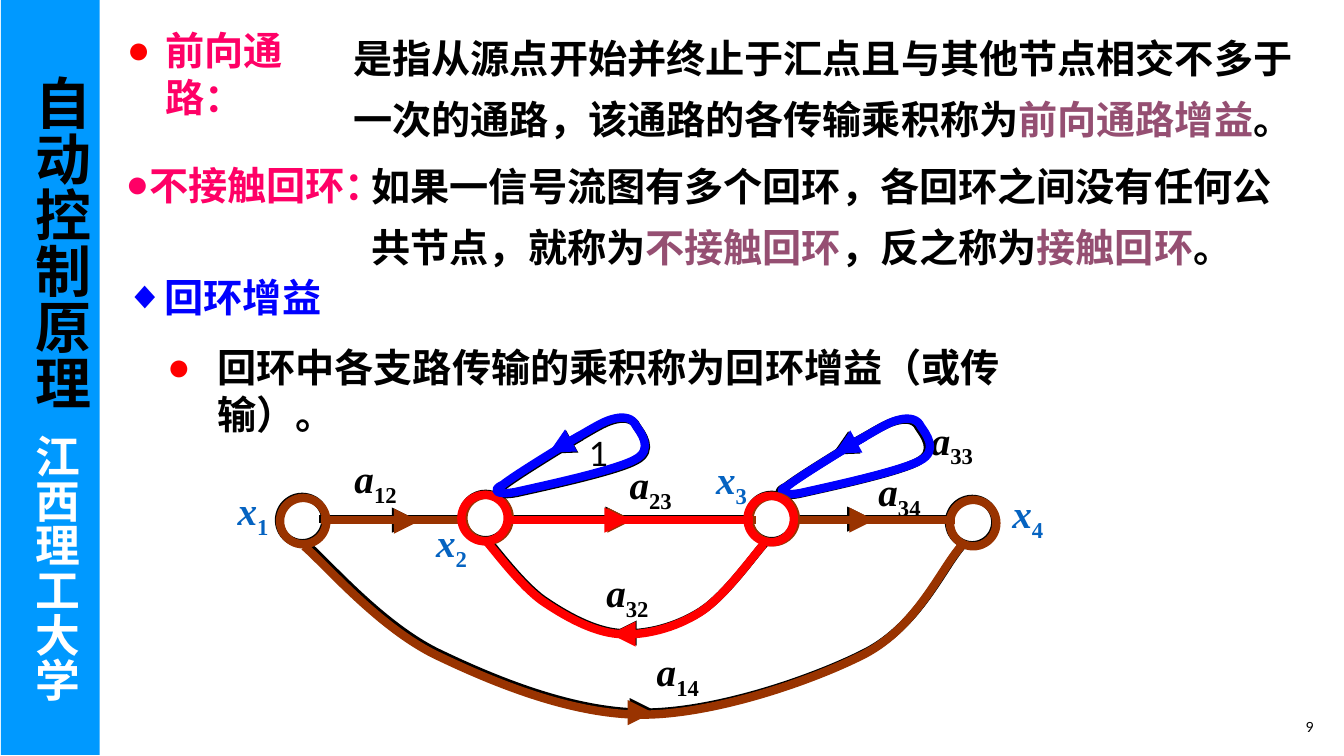
from dataclasses import dataclass

from lxml import etree
from pptx import Presentation
from pptx.dml.color import RGBColor
from pptx.enum.shapes import MSO_CONNECTOR, MSO_SHAPE
from pptx.enum.text import MSO_ANCHOR, PP_ALIGN
from pptx.oxml.ns import qn
from pptx.util import Inches, Pt

STRAIGHT = MSO_CONNECTOR.STRAIGHT
RECT, OVAL = MSO_SHAPE.RECTANGLE, MSO_SHAPE.OVAL
TOP, MIDDLE = MSO_ANCHOR.TOP, MSO_ANCHOR.MIDDLE
LEFT, RIGHT = PP_ALIGN.LEFT, PP_ALIGN.RIGHT


@dataclass(frozen=True)
class Theme:
    """Colours, fonts and sizes of the slide."""
    black: str = "000000"
    white: str = "FFFFFF"
    sky: str = "0099FF"
    blue: str = "0000FF"
    red: str = "FF0000"
    pink: str = "FF0066"
    plum: str = "954F72"
    brown: str = "993300"
    node: str = "0563C1"
    cjk: str = "Noto Sans CJK SC"
    math: str = "Times New Roman"
    plain: str = "Lato"
    uni: str = "Arial"
    body: int = 28
    course: int = 40
    school: int = 32
    gap: int = 36
    loop: int = 24
    page: int = 10
    stroke: int = 6


LINKS = [(5.02, 6.26, 5.15, True), (6.15, 7.48, 5.15, False),
         (7.84, 8.66, 5.15, True), (8.59, 9.46, 5.15, False),
         (3.17, 4.62, 5.15, False), (3.91, 4.14, 5.16, True)]
NODES = [(9.42, 4.95), (2.77, 4.93), (4.59, 4.9), (7.43, 4.91)]
BACK_ARC = ([(4.83, 5.35), (4.92, 5.45), (5.17, 5.79), (5.39, 5.95),
             (5.61, 6.1), (5.89, 6.26), (6.15, 6.28),
             (6.41, 6.3), (6.71, 6.22), (6.95, 6.07),
             (7.19, 5.92), (7.46, 5.54), (7.59, 5.39)],
            (6.29, 6.28, 6.07, 6.28), False)
LONG_ARC = ([(3.04, 5.4), (3.25, 5.58), (3.77, 6.19), (4.33, 6.47),
             (4.89, 6.74), (5.68, 7.07), (6.39, 7.07),
             (7.1, 7.07), (8.07, 6.74), (8.6, 6.47),
             (9.13, 6.19), (9.36, 5.62), (9.56, 5.4)],
            (6.27, 7.05, 6.5, 7.05), False)
SELF_LOOP = ([(7.8, 4.83), (7.91, 4.74), (8.37, 4.46), (8.55, 4.35),
              (8.74, 4.24), (8.82, 4.19), (8.92, 4.17),
              (9.01, 4.15), (9.09, 4.17), (9.12, 4.24),
              (9.16, 4.3), (9.31, 4.48), (9.11, 4.58),
              (8.91, 4.69), (8.15, 4.85), (7.93, 4.9),
              (7.71, 4.94), (7.7, 4.87), (7.8, 4.83)],
             (8.57, 4.34, 8.26, 4.51), True)
LABELS = [("a", "33", 9.14, 4.05), ("x", "1", 2.26, 4.75), ("a", "12", 3.42, 4.43),
          ("x", "2", 4.23, 5.07), ("x", "3", 7.01, 4.44), ("a", "23", 6.15, 4.49),
          ("a", "34", 8.62, 4.56), ("a", "32", 5.92, 5.56), ("a", "14", 6.42, 6.35),
          ("x", "4", 9.95, 4.78)]


class Painter:
    """Draws styled elements on the current slide."""

    def __init__(self, slide, theme):
        self.s, self.th = slide, theme

    def stroke(self, sp, color):
        sp.line.color.rgb = RGBColor.from_string(color)
        sp.line.width = Pt(self.th.stroke)

    def run(self, p, text, size, color, font, bold=True, italic=False):
        r = p.add_run()
        r.text = text
        f = r.font
        f.size, f.bold, f.italic, f.name = Pt(size), bold, italic, font
        f.color.rgb = RGBColor.from_string(color)
        etree.SubElement(r._r.get_or_add_rPr(), qn("a:ea"), typeface=font)
        return r

    def box(self, x, y, w, h, fill=None, spacing=1.0, align=LEFT, anchor=TOP):
        at = [Inches(v) for v in (x, y, w, h)]
        if fill:
            sp = self.s.shapes.add_shape(RECT, *at)
            sp.shadow.inherit = False
            sp.fill.solid()
            sp.fill.fore_color.rgb = RGBColor.from_string(fill)
            sp.line.fill.background()
        else:
            sp = self.s.shapes.add_textbox(*at)
        tf = sp.text_frame
        tf.word_wrap, tf.vertical_anchor = True, anchor
        p = tf.paragraphs[0]
        p.alignment, p.line_spacing = align, spacing
        p._p.get_or_add_pPr().set("hangingPunct", "0")
        return tf, p

    def bullet(self, p, char, color, indent=0):
        pPr = p._p.get_or_add_pPr()
        pPr.set("marL", str(Inches(indent)))
        pPr.set("indent", str(-Inches(indent)))
        clr = etree.SubElement(pPr, qn("a:buClr"))
        etree.SubElement(clr, qn("a:srgbClr"), val=color)
        etree.SubElement(pPr, qn("a:buFont"), typeface=self.th.uni)
        etree.SubElement(pPr, qn("a:buChar"), char=char)

    def body(self, p, *parts):
        for text, color in parts:
            self.run(p, text, self.th.body, color, self.th.cjk)

    def label(self, base, index, x, y):
        color = self.th.node if base == "x" else self.th.black
        _, p = self.box(x, y, 0.71, 0.66, spacing=1.05)
        self.run(p, base, self.th.body, color, self.th.math, italic=True)
        r = self.run(p, index, self.th.body, color, self.th.math)
        r._r.get_or_add_rPr().set("baseline", "-25000")

    def line(self, color, x1, y1, x2, y2, arrow):
        sp = self.s.shapes.add_connector(STRAIGHT, *[Inches(v) for v in (x1, y1, x2, y2)])
        self.stroke(sp, color)
        if arrow:
            etree.SubElement(sp.line._get_or_add_ln(), qn("a:tailEnd"), type="triangle")
        etree.SubElement(sp._element.spPr, qn("a:effectLst"))

    def links(self, color, links, dx=0, dy=0):
        for x1, x2, y, arrow in links:
            self.line(color, x1 + dx, y + dy, x2 + dx, y + dy, arrow)

    def nodes(self, color, nodes, dx=0, dy=0):
        for x, y in nodes:
            sp = self.s.shapes.add_shape(OVAL, Inches(x + dx), Inches(y + dy),
                                         Inches(0.46), Inches(0.46))
            sp.shadow.inherit = False
            sp.fill.background()
            self.stroke(sp, color)

    def bend(self, color, bend, dx=0, dy=0):
        points, (x1, y1, x2, y2), closed = bend
        pts = [(Inches(x + dx), Inches(y + dy)) for x, y in points]
        fb = self.s.shapes.build_freeform(*pts[0])
        fb.add_line_segments(pts[1:], close=closed)
        sp = fb.convert_to_shape()
        steps = list(sp._element.iter(qn("a:lnTo")))
        for i in range(0, len(steps), 3):
            curve = etree.Element(qn("a:cubicBezTo"))
            steps[i].addprevious(curve)
            for step in steps[i:i + 3]:
                curve.append(step[0])
                step.getparent().remove(step)
        sp.shadow.inherit = False
        sp.fill.background()
        self.stroke(sp, color)
        self.line(color, x1 + dx, y1 + dy, x2 + dx, y2 + dy, True)


def draw_graph(d, th):
    for label in LABELS:
        d.label(*label)
    d.links(th.black, LINKS)
    for bend in (BACK_ARC, LONG_ARC, SELF_LOOP):
        d.bend(th.black, bend)
    d.nodes(th.black, NODES)
    d.bend(th.brown, LONG_ARC, -0.02, 0.02)
    d.bend(th.blue, SELF_LOOP, 0.02, -0.01)
    d.links(th.brown, LINKS, 0.02, 0.01)
    d.nodes(th.brown, NODES, 0.01, 0.01)
    d.bend(th.black, SELF_LOOP, -2.8, -0.01)
    d.bend(th.red, BACK_ARC, -0.01, 0.01)
    d.links(th.red, LINKS[:2], -0.01, 0.01)
    d.nodes(th.red, NODES[2:], -0.01, 0.01)
    d.bend(th.blue, SELF_LOOP, -2.81, -0.02)
    _, p = d.box(5.75, 4.25, 0.37, 0.5)
    d.run(p, "1", th.loop, th.black, th.plain, bold=False)


def draw_text(d, th):
    for char, color, ink, indent, at, fill, spacing, text in [
            ("●", th.red, th.pink, 0.38, (1.16, 0.21, 2.51, 1.04), th.white, 1, "前向通路："),
            ("●", th.pink, th.pink, 0, (1.15, 1.36, 3.36, 0.76), None, 1.4, "不接触回环："),
            ("◆", th.blue, th.blue, 0, (1.15, 2.66, 2.33, 0.57), None, 1, "回环增益"),
            ("●", th.red, th.black, 0.5, (1.56, 3.36, 9.36, 0.57), None, 1,
             "回环中各支路传输的乘积称为回环增益（或传输）。")]:
        _, p = d.box(*at, fill=fill, spacing=spacing)
        d.bullet(p, char, color, indent)
        d.body(p, (text, ink))
    _, p = d.box(3.41, 0.15, 9.77, 1.32, spacing=1.3)
    d.body(p, ("是指从源点开始并终止于汇点且与其他节点相交不多于一次的通路，该通路的各传输乘积称为", th.black),
           ("前向通路增益", th.plum), ("。", th.black))
    _, p = d.box(3.59, 1.42, 9.21, 1.32, spacing=1.3)
    d.body(p, ("如果一信号流图有多个回环，各回环之间没有任何公共节点，就称为", th.black),
           ("不接触回环", th.plum), ("，反之称为", th.black),
           ("接触回环", th.plum), ("。", th.black))


def draw_frame(d, th):
    tf, p = d.box(0.01, -0.01, 0.98, 7.5, fill=th.sky)
    tf._txBody.bodyPr.set("vert", "eaVert")
    tf.margin_left = tf.margin_right = Inches(0.05)
    tf.margin_top, tf.margin_bottom = Inches(0.76), Inches(0.16)
    d.run(p, "自动控制原理", th.course, th.black, th.cjk)
    r = d.run(p, " ", th.gap, th.white, th.cjk)
    r._r.get_or_add_rPr().set("spc", "800")
    d.run(p, "江西理工大学", th.school, th.white, th.uni)
    _, p = d.box(10.14, 7.01, 3, 0.4, align=RIGHT, anchor=MIDDLE)
    d.run(p, "9", th.page, th.black, th.plain, bold=False)


def main():
    prs = Presentation()
    prs.slide_width, prs.slide_height = Inches(13.34), Inches(7.5)
    th = Theme()
    d = Painter(prs.slides.add_slide(prs.slide_layouts[6]), th)
    draw_graph(d, th)
    draw_text(d, th)
    draw_frame(d, th)
    prs.save("out.pptx")


if __name__ == "__main__":
    main()
